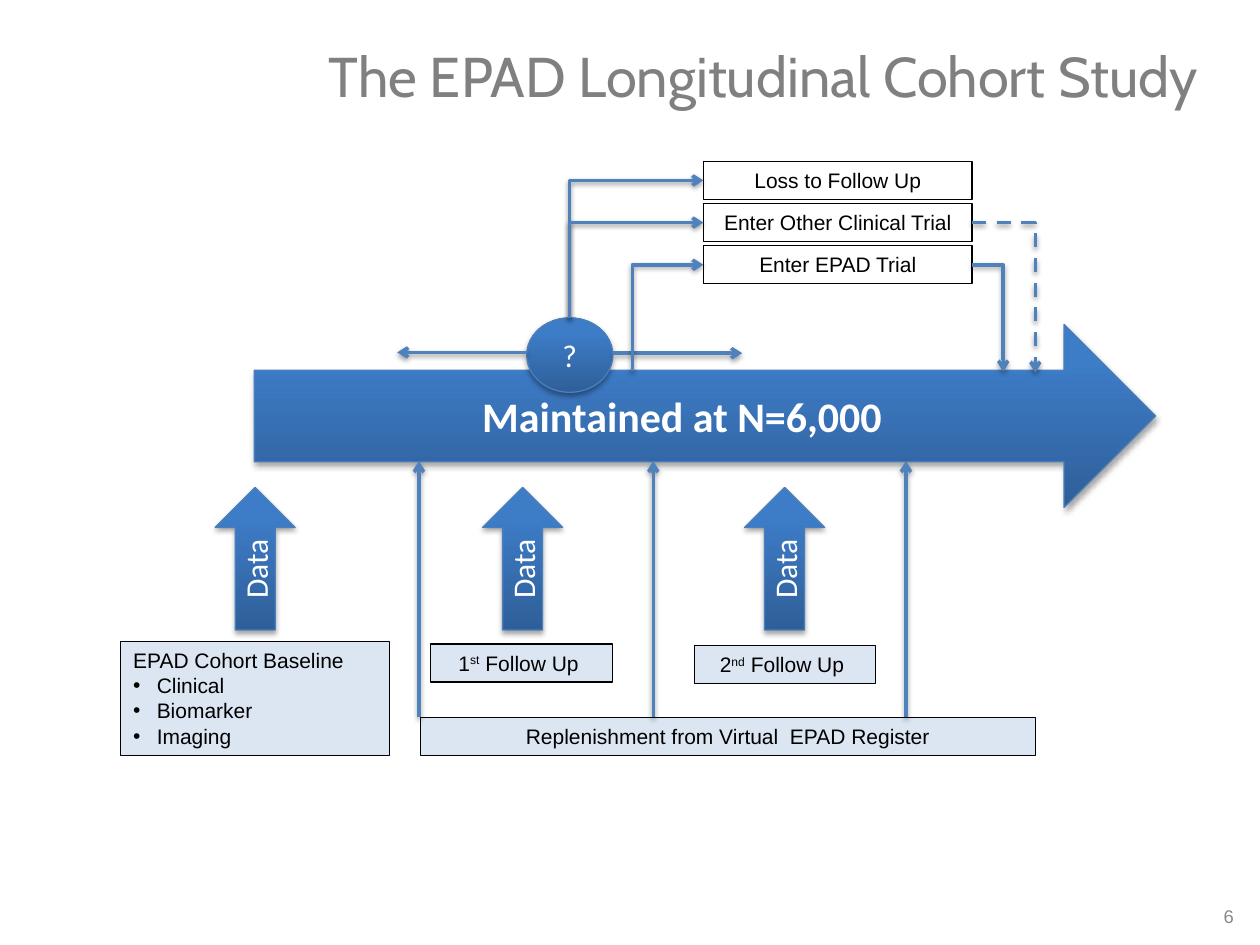
from pptx import Presentation
from pptx.dml.color import RGBColor
from pptx.enum.dml import MSO_LINE
from pptx.enum.shapes import MSO_CONNECTOR, MSO_SHAPE
from pptx.enum.text import MSO_ANCHOR, PP_ALIGN
from pptx.oxml import parse_xml
from pptx.oxml.ns import nsdecls, qn
from pptx.util import Pt
from lxml.etree import SubElement

# Content
TITLE = "The EPAD Longitudinal Cohort Study"
PAGE_NUMBER = "6"
EXITS = ["Loss to Follow Up", "Enter Other Clinical Trial", "Enter EPAD Trial"]
BASELINE = ["EPAD Cohort Baseline", "Clinical", "Biomarker", "Imaging"]
FOLLOW_UPS = [("1", "st", 246.2, 368), ("2", "nd", 396.7, 368.8)]
REGISTER = "Replenishment from Virtual  EPAD Register"

# Positions in points
EXIT_LEFT, EXIT_TOP, EXIT_STEP, EXIT_WIDTH = 402, 92.2, 24.1, 153.5
LABEL_HEIGHT = 21.8
DATA_LEFTS = [123, 275.8, 425.5]
REPLENISH_X = [239.4, 373.3, 517.7]
# For each exit: the way in from the cohort, and the way back to it
WAYS_IN = [(325.4, 181.6), (325.4, 181.6), (361.4, 212)]
WAYS_BACK = [None, (591.6, 213), (573.3, 212.4)]

THEME = {
    "title": {"name": "Cabin", "size": 32, "color": "808080"},
    "number": {"name": "Arial", "size": 10.5, "color": "898989"},
    "label": {"name": "Arial", "size": 12, "color": "000000"},
    "shape": {"name": "Calibri", "size": 18, "color": "FFFFFF"},
    "banner": {"name": "Calibri", "size": 24, "color": "FFFFFF", "bold": True},
    "gradient": [(0, "2F5F99"), (0.8, "3D7CC7")],
    "edge": "4B7EBC",
    "connector": "4F81BD",
    "pale": "DCE6F2",
    "border": "000000",
}


def rgb(code):
    return RGBColor.from_string(code)


def style(font, values):
    for key, value in values.items():
        if key == "color":
            font.color.rgb = rgb(value)
        else:
            setattr(font, key, Pt(value) if key == "size" else value)


def add_span(para, text, look, superscript=False):
    span = para.add_run()
    span.text = text
    style(span.font, THEME[look])
    if superscript:
        span._r.get_or_add_rPr().set("baseline", "30000")


def add_shadow(shape, opacity, distance):
    properties = shape._element.spPr
    for old in properties.findall(qn("a:effectLst")):
        properties.remove(old)
    properties.append(parse_xml(
        f'<a:effectLst {nsdecls("a")}><a:outerShdw blurRad="{Pt(3.1)}" '
        f'dist="{Pt(distance)}" dir="5400000" rotWithShape="0"><a:srgbClr val="000000">'
        f'<a:alpha val="{opacity * 1000}"/></a:srgbClr></a:outerShdw></a:effectLst>'))


def add_box(page, kind, left, top, width, height, edge):
    box = page.shapes.add_shape(kind, Pt(left), Pt(top), Pt(width), Pt(height))
    box.shadow.inherit = False
    box.line.color.rgb = rgb(edge)
    box.line.width = Pt(0.75)
    return box


def add_label(page, left, top, width, height=LABEL_HEIGHT, fill=None):
    box = add_box(page, MSO_SHAPE.RECTANGLE, left, top, width, height, THEME["border"])
    if fill:
        box.fill.solid()
        box.fill.fore_color.rgb = rgb(fill)
    else:
        box.fill.background()
    box.text_frame.vertical_anchor = MSO_ANCHOR.TOP
    para = box.text_frame.paragraphs[0]
    para.alignment = PP_ALIGN.CENTER
    return para, box


def add_blue_shape(page, kind, left, top, width, height, text, look="shape", upright=False):
    box = add_box(page, kind, left, top, width, height, THEME["edge"])
    box.fill.gradient()
    box.fill.gradient_angle = 90
    for stop, (position, color) in zip(box.fill.gradient_stops, THEME["gradient"]):
        stop.position = position
        stop.color.rgb = rgb(color)
    add_shadow(box, 35, 1.8)
    box.text_frame.vertical_anchor = MSO_ANCHOR.MIDDLE
    if upright:
        box.text_frame._txBody.bodyPr.set("vert", "vert270")
    para = box.text_frame.paragraphs[0]
    para.alignment = PP_ALIGN.CENTER
    add_span(para, text, look)


def add_arrow(page, start, end, bent=False, dashed=False, arrow="tailEnd"):
    kind = MSO_CONNECTOR.ELBOW if bent else MSO_CONNECTOR.STRAIGHT
    line = page.shapes.add_connector(kind, *map(Pt, start + end))
    if bent:  # a single corner: across first, then down
        line._element.spPr.find(qn("a:prstGeom")).set("prst", "bentConnector2")
    line.line.color.rgb = rgb(THEME["connector"])
    line.line.width = Pt(2)
    if dashed:
        line.line.dash_style = MSO_LINE.DASH
    SubElement(line.line._get_or_add_ln(), qn("a:" + arrow), type="arrow")
    add_shadow(line, 38, 1.6)


def main():
    deck = Presentation()
    deck.slide_width, deck.slide_height = Pt(720), Pt(540)
    page = deck.slides.add_slide(deck.slide_layouts[5])

    # Title and page number
    title = page.shapes.title
    title.left, title.top, title.width, title.height = map(Pt, (180.7, 8.6, 531.4, 69.1))
    title.text_frame.vertical_anchor = MSO_ANCHOR.MIDDLE
    para = title.text_frame.paragraphs[0]
    para.alignment = PP_ALIGN.LEFT
    add_span(para, TITLE, "title")
    number = page.shapes.add_textbox(Pt(684.7), Pt(509), Pt(27.4), Pt(28.8))
    number.text_frame.word_wrap = True
    number.text_frame.vertical_anchor = MSO_ANCHOR.MIDDLE
    para = number.text_frame.paragraphs[0]
    para.alignment = PP_ALIGN.RIGHT
    add_span(para, PAGE_NUMBER, "number")

    # Cohort arrow, data arrows and the open question
    add_blue_shape(page, MSO_SHAPE.RIGHT_ARROW, 145.4, 185.4, 515, 104.6,
                   "Maintained at N=6,000", "banner")
    for left in DATA_LEFTS:
        add_blue_shape(page, MSO_SHAPE.UP_ARROW, left, 278.6, 45.7, 81.4, "Data", upright=True)
    add_blue_shape(page, MSO_SHAPE.OVAL, 301, 181.6, 49.2, 42.6, "?")
    add_arrow(page, (350.4, 201.8), (424.1, 201.8))
    add_arrow(page, (301, 201.4), (227, 201.4))

    # Baseline list
    para, box = add_label(page, 69, 366.5, 153.5, 65.4, THEME["pale"])
    for index, text in enumerate(BASELINE):
        if index:
            para = box.text_frame.add_paragraph()
            properties = para._p.get_or_add_pPr()
            properties.set("marL", str(Pt(13.5)))
            properties.set("indent", str(-Pt(13.5)))
            SubElement(properties, qn("a:buFont"), typeface="Arial")
            SubElement(properties, qn("a:buChar"), char="•")
        para.alignment = PP_ALIGN.LEFT
        add_span(para, text, "label")

    # Follow-up visits
    for count, ending, left, top in FOLLOW_UPS:
        para, box = add_label(page, left, top, 103.7, fill=THEME["pale"])
        add_span(para, count, "label")
        add_span(para, ending, "label", superscript=True)
        add_span(para, " Follow Up ", "label")

    # Exits, each with its way in and its way back
    for index, (text, source, back) in enumerate(zip(EXITS, WAYS_IN, WAYS_BACK)):
        top = EXIT_TOP + index * EXIT_STEP
        middle = top + LABEL_HEIGHT / 2
        para, box = add_label(page, EXIT_LEFT, top, EXIT_WIDTH)
        add_span(para, text, "label")
        add_arrow(page, (EXIT_LEFT, middle), source, bent=True, arrow="headEnd")
        if back:
            add_arrow(page, (EXIT_LEFT + EXIT_WIDTH, middle), back, bent=True,
                      dashed=text == "Enter Other Clinical Trial")

    # Register and replenishment
    para, box = add_label(page, 240.3, 410.1, 351.4, fill=THEME["pale"])
    add_span(para, REGISTER, "label")
    for x in REPLENISH_X:
        add_arrow(page, (x, 409.5), (x, 263.5))

    deck.save("out.pptx")


if __name__ == "__main__":
    main()
